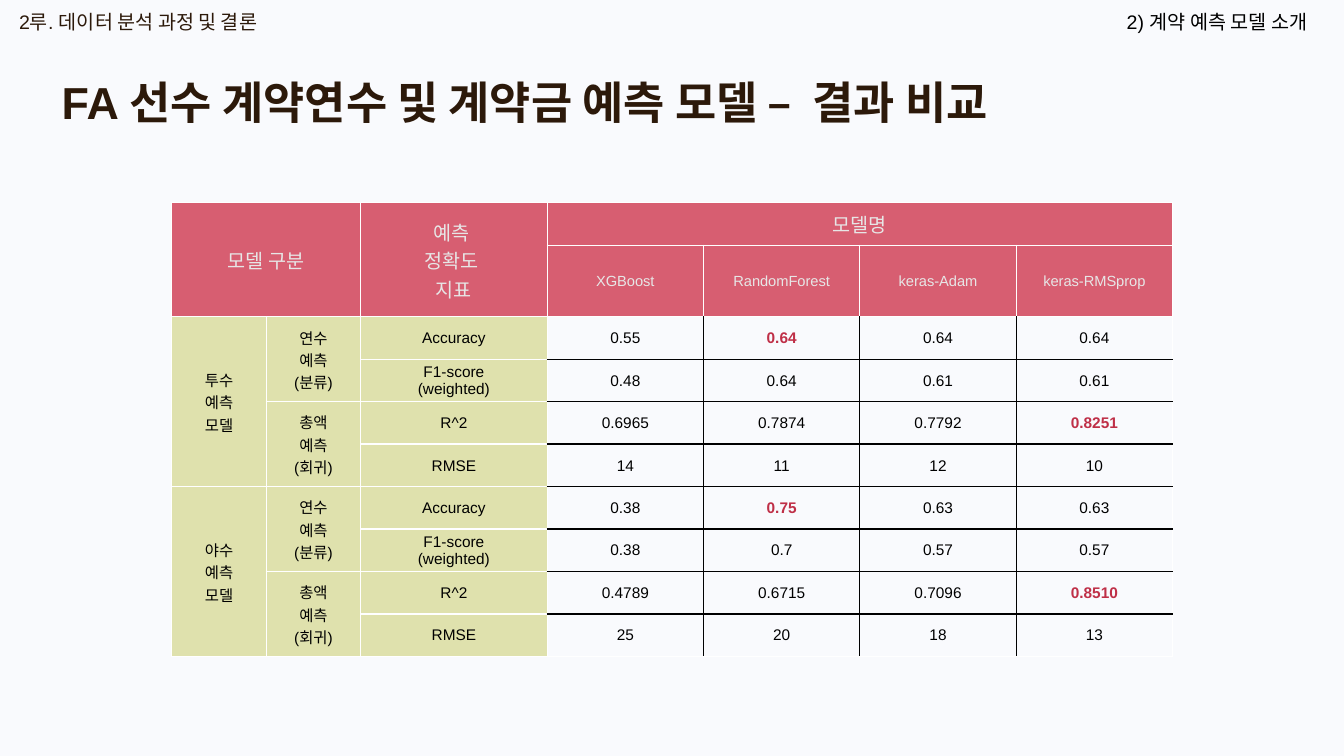
from pptx import Presentation
from pptx.dml.color import RGBColor as RGB
from pptx.enum.text import MSO_ANCHOR as Anchor, MSO_AUTO_SIZE as Fit, PP_ALIGN as Align
from pptx.oxml.ns import qn
from pptx.util import Cm, Pt
from lxml.etree import SubElement as Sub

HUES = {"back": "F9FAFD", "brown": "2C190A", "black": "000000", "white": "FFFFFF",
        "rose": "D75E71", "pale": "E7E6E6", "lime": "DFE1AD", "red": "BF2F47"}


def write(frame, text, size, hue, bold=False, align=Align.LEFT):
    frame.word_wrap = True
    para = frame.paragraphs[0]
    para.text = text
    para.alignment = align
    for run in para.runs:
        for key, val in {"name": "Arial", "size": Pt(size), "bold": bold}.items():
            setattr(run.font, key, val)
        run.font.color.rgb = RGB.from_string(HUES[hue])


def edge(cell, side, hue):
    line = Sub(cell._tc.get_or_add_tcPr(), qn("a:ln" + side), w=str(Pt(1)))
    Sub(Sub(line, qn("a:solidFill")), qn("a:srgbClr"), val=HUES[hue])


# Slide
deck = Presentation()
deck.slide_width, deck.slide_height = Cm(33.87), Cm(19.05)
slide = deck.slides.add_slide(deck.slide_layouts[5])
slide.background.fill.solid()
slide.background.fill.fore_color.rgb = RGB.from_string(HUES["back"])

# Title
title = slide.shapes.title
place = {"left": Cm(1.3), "top": Cm(1.75), "width": Cm(31.9), "height": Cm(1.63)}
for key, val in place.items():
    setattr(title, key, val)
title.text_frame.auto_size = Fit.NONE
title.text_frame.vertical_anchor = Anchor.TOP
write(title.text_frame, "FA 선수 계약연수 및 계약금 예측 모델 –  결과 비교", 32, "brown", True)

# Running heads
for left, text, hue, align in [
    (0.23, "2루. 데이터 분석 과정 및 결론", "brown", Align.LEFT),
    (24.28, "2) 계약 예측 모델 소개", "black", Align.RIGHT),
]:
    box = slide.shapes.add_textbox(Cm(left), Cm(0.13), Cm(8.92), Cm(0.86))
    write(box.text_frame, text, 14, hue, align=align)

# Table content
HEAD = 2
SIDE = 3
models = ["XGBoost", "RandomForest", "keras-Adam", "keras-RMSprop"]
scores = [
    ["0.55", "0.64", "0.64", "0.64"],
    ["0.48", "0.64", "0.61", "0.61"],
    ["0.6965", "0.7874", "0.7792", "0.8251"],
    ["14", "11", "12", "10"],
    ["0.38", "0.75", "0.63", "0.63"],
    ["0.38", "0.7", "0.57", "0.57"],
    ["0.4789", "0.6715", "0.7096", "0.8510"],
    ["25", "20", "18", "13"],
]
best = {(2, 4), (4, 6), (6, 4), (8, 6)}
gauges = ["Accuracy", "F1-score\v(weighted)", "R^2", "RMSE"]
tasks = ["연수\v예측\v(분류)", "총액\v예측\v(회귀)"]
roles = ["투수\v예측\v모델", "야수\v예측\v모델"]

texts = {(0, 0): "모델 구분", (0, 2): "예측 \v정확도 \v지표", (0, 3): "모델명"}
spans = {(0, 0): (2, 2), (0, 2): (2, 1), (0, 3): (1, 4)}
for i, name in enumerate(models):
    texts[1, SIDE + i] = name
for i, row in enumerate(scores):
    r = HEAD + i
    texts[r, 2] = gauges[i % 4]
    for j, score in enumerate(row):
        texts[r, SIDE + j] = score
    if i % 2 == 0:
        texts[r, 1] = tasks[i // 2 % 2]
        spans[r, 1] = (2, 1)
    if i % 4 == 0:
        texts[r, 0] = roles[i // 4]
        spans[r, 0] = (4, 1)

# Table grid
widths = [2.38, 2.38, 4.7] + [3.94] * len(models)
rows, cols = HEAD + len(scores), len(widths)
grid = slide.shapes.add_table(rows, cols, Cm(4.33), Cm(5.11),
                              Cm(sum(widths)), Cm(1.07 * rows)).table
grid.first_row = grid.horz_banding = False
for col, width in zip(grid.columns, widths):
    col.width = Cm(width)
for row in grid.rows:
    row.height = Cm(1.07)

# Cell edges, fills and text
form = {"margin_left": Cm(0.02), "margin_right": Cm(0.02), "margin_top": Cm(0.02),
        "margin_bottom": Cm(0), "vertical_anchor": Anchor.MIDDLE}
for r in range(rows):
    for c in range(cols):
        cell = grid.cell(r, c)
        for key, val in form.items():
            setattr(cell, key, val)
        value = r >= HEAD and c >= SIDE
        inner = {"L": c > SIDE, "R": c < cols - 1, "T": r > HEAD, "B": r < rows - 1}
        for side, dark in inner.items():
            edge(cell, side, "black" if value and dark else "white")
        if value:
            cell.fill.background()
        else:
            cell.fill.solid()
            cell.fill.fore_color.rgb = RGB.from_string(HUES["rose" if r < HEAD else "lime"])
        if (r, c) in texts:
            top = (r, c) in best
            size = 14 if r == 0 else 10.5 if r == 1 else 11
            if r >= HEAD:
                size = 11
            hue = "pale" if r < HEAD else "red" if top else "black"
            write(cell.text_frame, texts[r, c], size, hue, top, Align.CENTER)

# Merged cells
for (r, c), (down, wide) in spans.items():
    grid.cell(r, c).merge(grid.cell(r + down - 1, c + wide - 1))

deck.save("out.pptx")
